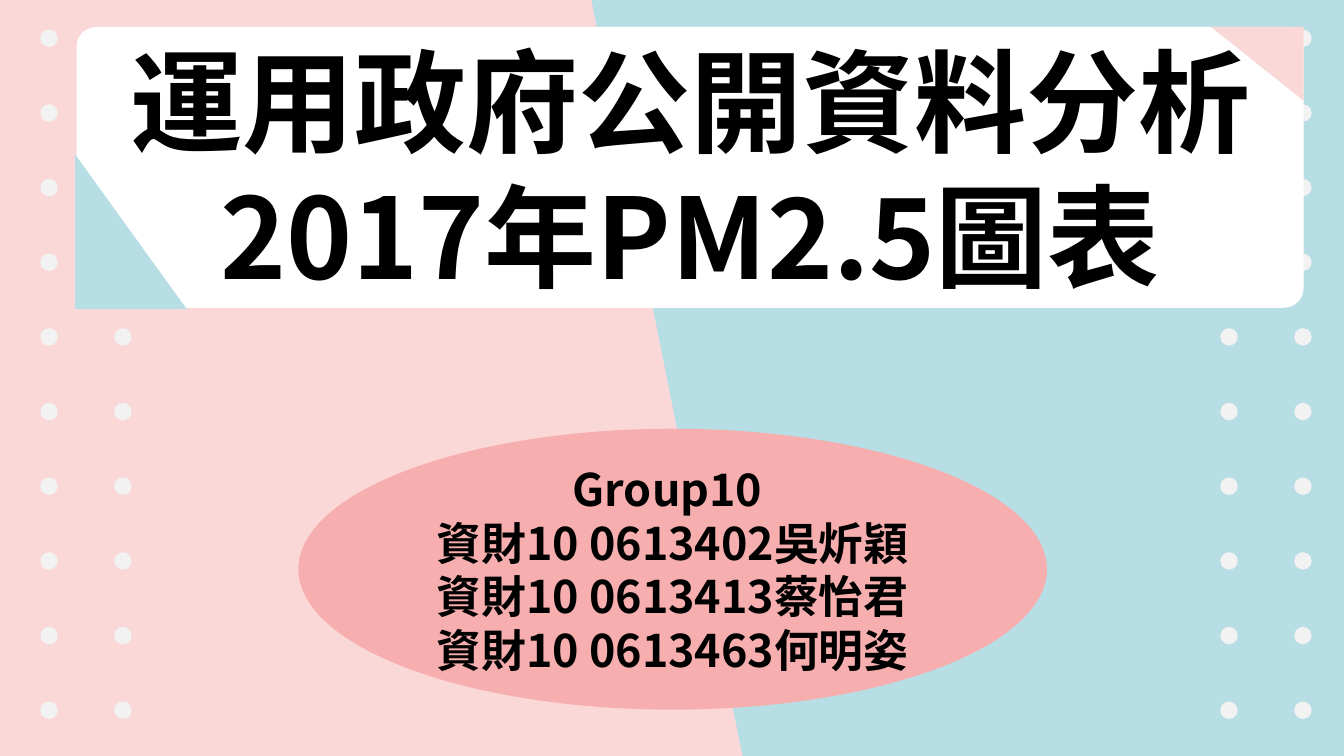
"""Build the cover slide of a PM2.5 open-data report."""
from dataclasses import dataclass

from pptx import Presentation
from pptx.dml.color import RGBColor
from pptx.enum.shapes import MSO_SHAPE
from pptx.enum.text import MSO_ANCHOR, MSO_AUTO_SIZE, PP_ALIGN
from pptx.oxml.ns import qn
from pptx.util import Inches, Pt

OVAL = MSO_SHAPE.OVAL
CARD = MSO_SHAPE.ROUNDED_RECTANGLE
CORNER = MSO_SHAPE.RIGHT_TRIANGLE
SLANT = MSO_SHAPE.FLOWCHART_MANUAL_INPUT
MIDDLE = MSO_ANCHOR.MIDDLE
NO_FIT = MSO_AUTO_SIZE.NONE
CENTER = PP_ALIGN.CENTER
TITLE_ONLY = 5
FONT = "Noto Sans CJK SC"
COLORS = {
    "pink": "FBD8D8",
    "blue": "B7DDE5",
    "rose": "F7AEAE",
    "dot": "F2F2F2",
    "white": "FFFFFF",
    "text": "000000",
}
WIDTH = 10
HEIGHT = WIDTH * 9 / 16
DOT_SIZE, DOT_TOP, DOT_BOTTOM, DOT_ROWS = 0.13, 0.22, 5.22, 10
DOT_PITCH = (DOT_BOTTOM - DOT_TOP) / (DOT_ROWS - 1)
TITLE = "運用政府公開資料分析2017年PM2.5圖表"
MEMBERS = [
    "Group10 ",
    "資財10 0613402吳炘穎",
    "資財10 0613413蔡怡君",
    "資財10 0613463何明姿",
]


@dataclass(frozen=True)
class Box:
    """Position and size in inches."""

    left: float
    top: float
    width: float
    height: float

    def emu(self) -> tuple:
        """Return the four lengths for python-pptx."""
        return tuple(Inches(v) for v in (self.left, self.top, self.width, self.height))


@dataclass(frozen=True)
class DotColumn:
    """One column of background dots, starting at a given row."""

    left: float
    first_row: int


CARD_BOX = Box(0.57, 0.2, 9.13, 2.09)
DOT_COLUMNS = [DotColumn(0.3, 0), DotColumn(0.85, 4), DotColumn(9.08, 4), DotColumn(9.63, 0)]


def rgb(name: str) -> RGBColor:
    """Look up a palette colour."""
    return RGBColor.from_string(COLORS[name])


def add_shape(s, kind, box: Box, color: str, rotation: float = 0):
    """Add a plain filled shape."""
    sp = s.shapes.add_shape(kind, *box.emu())
    sp.shadow.inherit = False
    sp.fill.solid()
    sp.fill.fore_color.rgb = rgb(color)
    sp.line.fill.background()
    sp.rotation = rotation
    return sp


def set_text(sp, lines: list, *, size: float, color: str = "text", bold: bool = True) -> None:
    """Write centred paragraphs into a shape."""
    tf = sp.text_frame
    tf.word_wrap = True
    tf.auto_size = NO_FIT
    tf.vertical_anchor = MIDDLE
    for i, line in enumerate(lines):
        p = tf.add_paragraph() if i else tf.paragraphs[0]
        p.alignment = CENTER
        r = p.add_run()
        r.text = line
        r.font.name = FONT
        r.font.size = Pt(size)
        r.font.bold = bold
        r.font.color.rgb = rgb(color)
        ea = r.font._element.makeelement(qn("a:ea"), {"typeface": FONT})
        r.font._element.append(ea)


def add_dots(s, column: DotColumn) -> None:
    """Draw one column of dots."""
    for row in range(column.first_row, DOT_ROWS):
        top = DOT_TOP + row * DOT_PITCH
        add_shape(s, OVAL, Box(column.left, top, DOT_SIZE, DOT_SIZE), "dot")


def add_title_card(s) -> None:
    """Draw the card with its corners and lay the title over it."""
    card = add_shape(s, CARD, CARD_BOX, "white")
    card.adjustments[0] = 0.07
    add_shape(s, CORNER, Box(0.56, 1.15, 0.83, 1.15), "blue")
    add_shape(s, CORNER, Box(9.01, 0.2, 0.69, 0.55), "pink", rotation=180)
    title = s.shapes.title
    title.left, title.top, title.width, title.height = CARD_BOX.emu()
    set_text(title, [TITLE], size=60)
    s.shapes._spTree.append(title._element)


def main() -> None:
    """Build and save the slide."""
    prs = Presentation()
    prs.slide_width, prs.slide_height = Inches(WIDTH), Inches(HEIGHT)
    s = prs.slides.add_slide(prs.slide_layouts[TITLE_ONLY])
    s.background.fill.solid()
    s.background.fill.fore_color.rgb = rgb("pink")
    add_shape(s, SLANT, Box(4.4, 0, HEIGHT, HEIGHT), "blue", rotation=270)
    for column in DOT_COLUMNS:
        add_dots(s, column)
    add_title_card(s)
    group = add_shape(s, OVAL, Box(2.22, 3.19, 5.57, 2.09), "rose")
    set_text(group, MEMBERS, size=24)
    prs.save("out.pptx")


if __name__ == "__main__":
    main()
